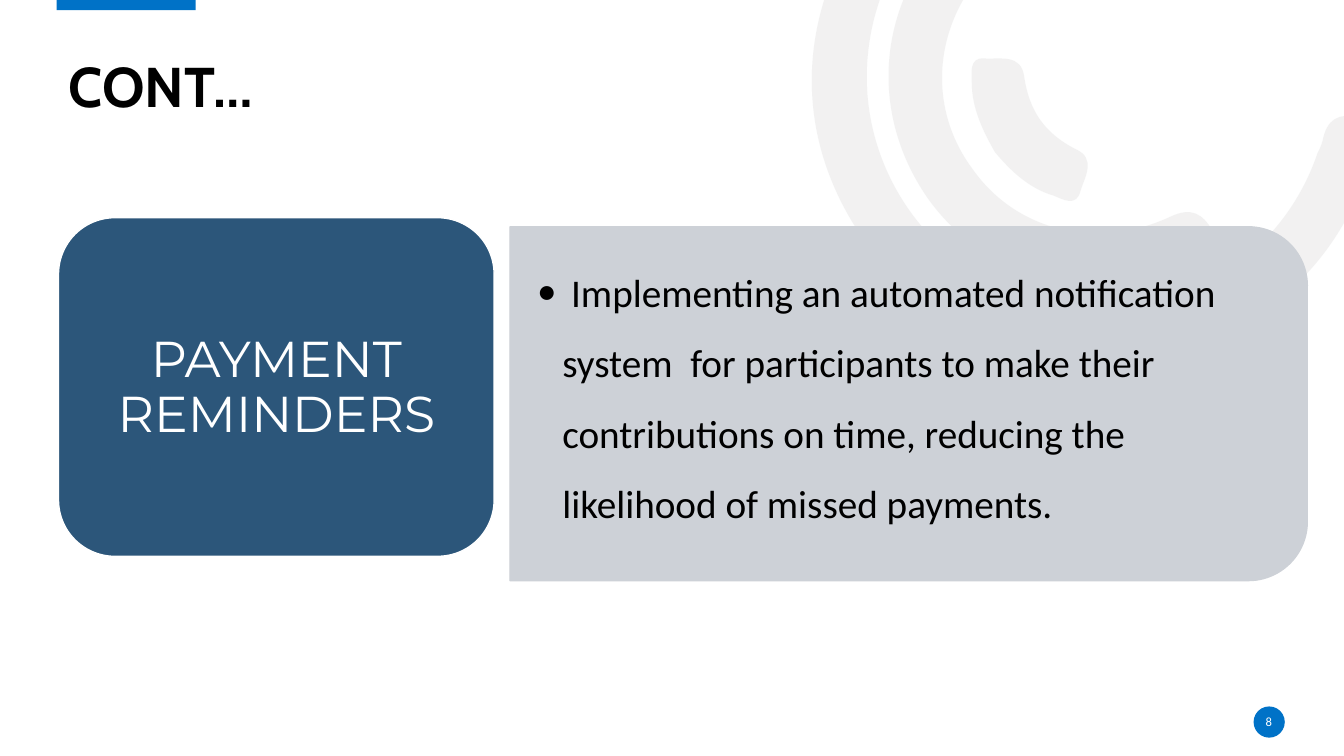
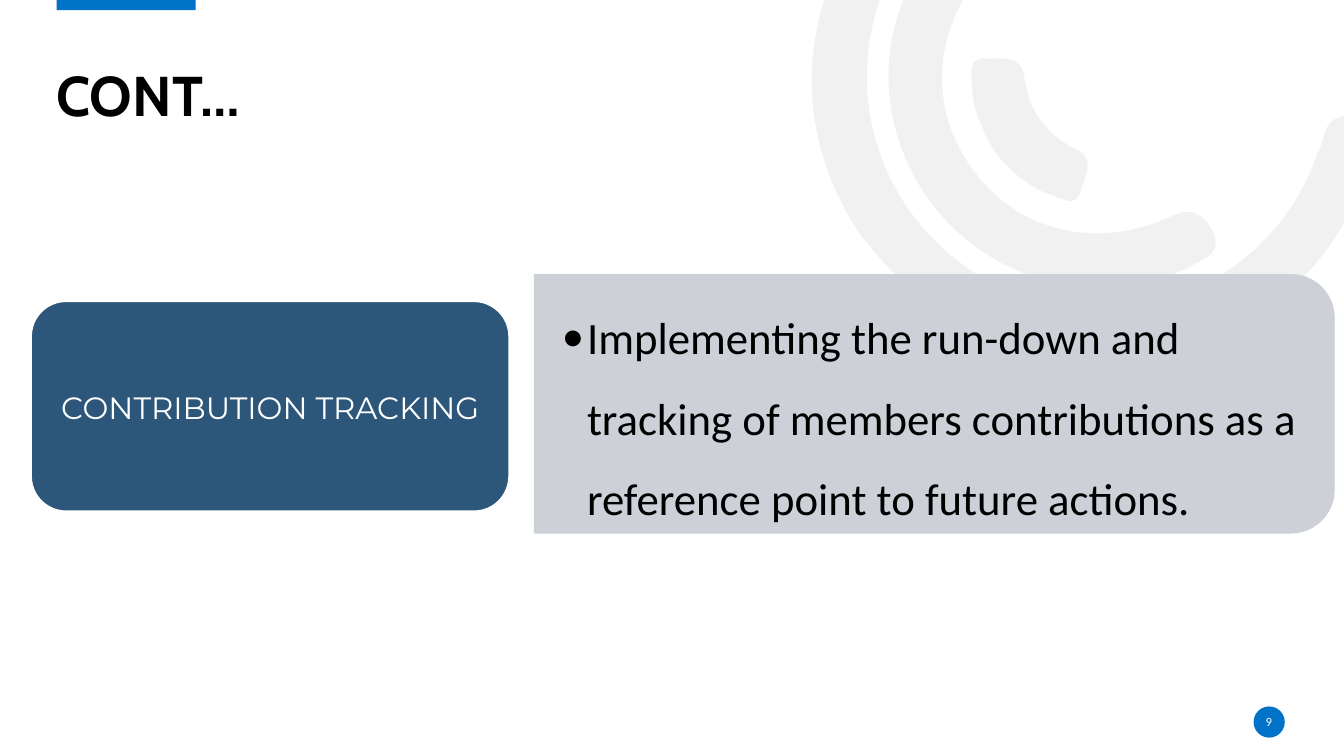
"""Build two slides that pair a label card with an explanatory panel."""
import math

import pptx
import pptx.dml.color
import pptx.enum.shapes
import pptx.enum.text
import pptx.oxml.ns
import pptx.util
from lxml import etree

Pt = pptx.util.Pt
RGBColor = pptx.dml.color.RGBColor
Preset = pptx.enum.shapes.MSO_SHAPE
Align = pptx.enum.text.PP_ALIGN
Anchor = pptx.enum.text.MSO_ANCHOR
qn = pptx.oxml.ns.qn

BLACK = RGBColor(0x00, 0x00, 0x00)
WHITE = RGBColor(0xFF, 0xFF, 0xFF)
ACCENT = RGBColor(0x00, 0x72, 0xC7)
NAVY = RGBColor(0x2C, 0x56, 0x7A)
PANEL = RGBColor(0xCD, 0xD1, 0xD7)
RING = RGBColor(0xE7, 0xE6, 0xE6)

RING_UNIT = Pt(0.72)
RING_ANGLE = 144.2
RINGS = [
    ((813, -202, 485, 600), (851, 229), [
        (799, 149, 787, 50, 838, -50), (890, -152, 976, -203, 1090, -207),
        (1105, -207, 1121, -210, 1131, -195), (1144, -175, 1127, -154, 1098, -154),
        (967, -154, 865, -59, 860, 68), (856, 181, 936, 281, 1046, 302),
        (1160, 324, 1270, 261, 1307, 152), (1309, 148, 1311, 144, 1312, 140),
        (1316, 119, 1327, 111, 1349, 117), (1373, 124, 1367, 141, 1361, 156),
        (1334, 245, 1278, 307, 1191, 341), (1070, 387, 936, 345, 851, 229)]),
    ((901, -78, 213, 426), (922, 199), [
        (862, 115, 869, 7, 940, -68), (951, -79, 962, -95, 980, -78),
        (995, -64, 997, -50, 979, -32), (925, 26, 920, 108, 965, 168),
        (1008, 229, 1088, 249, 1161, 215), (1182, 205, 1193, 212, 1203, 229),
        (1213, 250, 1197, 256, 1183, 263), (1096, 310, 983, 282, 922, 199)]),
    ((980, 37, 78, 183), (987, 151), [
        (975, 130, 964, 107, 964, 82), (964, 73, 961, 57, 976, 58),
        (992, 59, 1013, 53, 1016, 76), (1021, 110, 1036, 132, 1067, 148),
        (1088, 157, 1076, 176, 1072, 189), (1068, 206, 1055, 198, 1045, 194),
        (1021, 187, 1003, 170, 987, 151)]),
]


class Deck:
    """Hold the presentation style and the current slide."""

    def __init__(self):
        """Start a widescreen presentation."""
        self.presentation = pptx.Presentation()
        self.presentation.slide_width = Pt(960)
        self.presentation.slide_height = Pt(540)
        self.slide = None

    def add_slide(self, title, left, top, number):
        """Add a slide with the shared decoration, title and page number."""
        self.slide = self.presentation.slides.add_slide(self.presentation.slide_layouts[5])
        for frame, start, curves in RINGS:
            self.ring(frame, start, curves)
        self.shape(Preset.RECTANGLE, (40.5, -1.5, 99.2, 8.7), ACCENT).rotation = 180
        self.shape(Preset.OVAL, (895.4, 504.6, 22.3, 22.3), ACCENT)
        self.title(title, left, top)
        self.text(self.box(894.8, 508.3, 23, 14.4), str(number), "Calibri", 9, WHITE)

    def title(self, text, left, top):
        """Place and format the title placeholder."""
        shape = self.slide.shapes.title
        shape.left, shape.top, shape.width, shape.height = Pt(left), Pt(top), Pt(877.7), Pt(72.7)
        paragraph = self.text(shape, text, "Cabin", 40, BLACK, Align.LEFT, Anchor.BOTTOM)
        paragraph.font.bold = True
        paragraph.line_spacing = 0.9

    def ring(self, frame, start, curves):
        """Draw one translucent curved band inside its turned frame."""
        left, top, width, height = frame
        cosine = math.cos(math.radians(RING_ANGLE))
        sine = math.sin(math.radians(RING_ANGLE))

        def local(x, y):
            """Return a slide point measured in the turned frame."""
            dx, dy = x - left - width / 2, y - top - height / 2
            return (round((dx * cosine + dy * sine + width / 2) * RING_UNIT),
                    round((dy * cosine - dx * sine + height / 2) * RING_UNIT))

        builder = self.slide.shapes.build_freeform(*local(*start), scale=1.0)
        builder.add_line_segments([local(*curve[4:]) for curve in curves], close=True)
        shape = builder.convert_to_shape()
        shape.left, shape.top, shape.width, shape.height = (
            round(length * RING_UNIT) for length in frame)
        shape.rotation = RING_ANGLE
        outline = next(shape._element.iter(qn("a:path")))
        outline.set("w", str(shape.width))
        outline.set("h", str(shape.height))
        for segment, points in zip(list(outline), [start, *curves]):
            if len(points) == 6:
                segment.tag = qn("a:cubicBezTo")
            for point in list(segment):
                segment.remove(point)
            for x, y in zip(points[::2], points[1::2]):
                local_x, local_y = local(x, y)
                etree.SubElement(segment, qn("a:pt"), x=str(local_x), y=str(local_y))
        self.paint(shape, RING)
        color_element = next(shape._element.spPr.iter(qn("a:srgbClr")))
        etree.SubElement(color_element, qn("a:alpha"), val="53000")

    def shape(self, preset, frame, color, line=None):
        """Add a filled preset shape."""
        shape = self.slide.shapes.add_shape(preset, *map(Pt, frame))
        self.paint(shape, color, line)
        return shape

    def paint(self, shape, color, line=None):
        """Fill a shape, with a thin outline if a line colour is given."""
        shape.shadow.inherit = False
        shape.fill.solid()
        shape.fill.fore_color.rgb = color
        if line is None:
            shape.line.fill.background()
        else:
            shape.line.color.rgb = line
            shape.line.width = Pt(1)

    def box(self, left, top, width, height):
        """Add an empty text box."""
        return self.slide.shapes.add_textbox(Pt(left), Pt(top), Pt(width), Pt(height))

    def text(self, shape, text, font, size, color, alignment=Align.CENTER,
             anchor=Anchor.MIDDLE, margins=(0, 0)):
        """Write one paragraph into a shape and return it."""
        frame = shape.text_frame
        frame.word_wrap = True
        frame.auto_size = pptx.enum.text.MSO_AUTO_SIZE.NONE
        frame.vertical_anchor = anchor
        frame.margin_left = frame.margin_right = Pt(margins[0])
        frame.margin_top = frame.margin_bottom = Pt(margins[1])
        paragraph = frame.paragraphs[0]
        paragraph.text = text
        paragraph.alignment = alignment
        paragraph.font.name = font
        paragraph.font.size = Pt(size)
        paragraph.font.color.rgb = color
        return paragraph

    def label(self, text, size, card, text_frame):
        """Add the navy label card."""
        self.shape(Preset.ROUNDED_RECTANGLE, card, NAVY, WHITE)
        paragraph = self.text(self.box(*text_frame), text, "Montserrat", size, WHITE,
                              margins=(6.5, 3.6))
        paragraph.line_spacing = 0.9

    def panel(self, text, size, frame, text_frame):
        """Add the grey panel, rounded on its right side, with a bullet."""
        left, top, width, height = frame
        shift = (width - height) / 2
        turned = (left + shift, top - shift, height, width)
        self.shape(Preset.ROUND_2_SAME_RECTANGLE, turned, PANEL, PANEL).rotation = 90
        paragraph = self.text(self.box(*text_frame), text, "Calibri", size, BLACK,
                              Align.LEFT, margins=(19.4, 10.1))
        paragraph.level = 1
        paragraph.line_spacing = 1.5
        properties = paragraph._p.get_or_add_pPr()
        properties.set("marL", str(Pt(18)))
        properties.set("indent", str(-Pt(18)))
        etree.SubElement(properties, qn("a:buFont"), typeface="Calibri")
        etree.SubElement(properties, qn("a:buChar"), char="•")


def main():
    """Build and save both slides."""
    deck = Deck()
    deck.add_slide("CONT…", 49, 13, 8)
    deck.panel(" Implementing an automated notification system  for participants to make their "
               "contributions on time, reducing the likelihood of missed payments.",
               28, (364.3, 162, 569.5, 252.7), (364.3, 148.3, 564.5, 254.2))
    deck.label("PAYMENT REMINDERS", 36, (41.8, 155.5, 311.2, 241.9), (44.8, 162, 305.3, 231.1))

    deck.add_slide("CONT…", 40.3, 19.4, 9)
    deck.panel("Implementing the run-down and tracking of members contributions as a "
               "reference point to future actions.",
               32, (381.9, 196.3, 571, 184.3), (381.9, 205.2, 567.4, 166.3))
    deck.label("CONTRIBUTION TRACKING", 22, (22.3, 215.3, 341.3, 149.8), (25.9, 213.1, 334.1, 159.1))
    deck.presentation.save("out.pptx")


if __name__ == "__main__":
    main()
